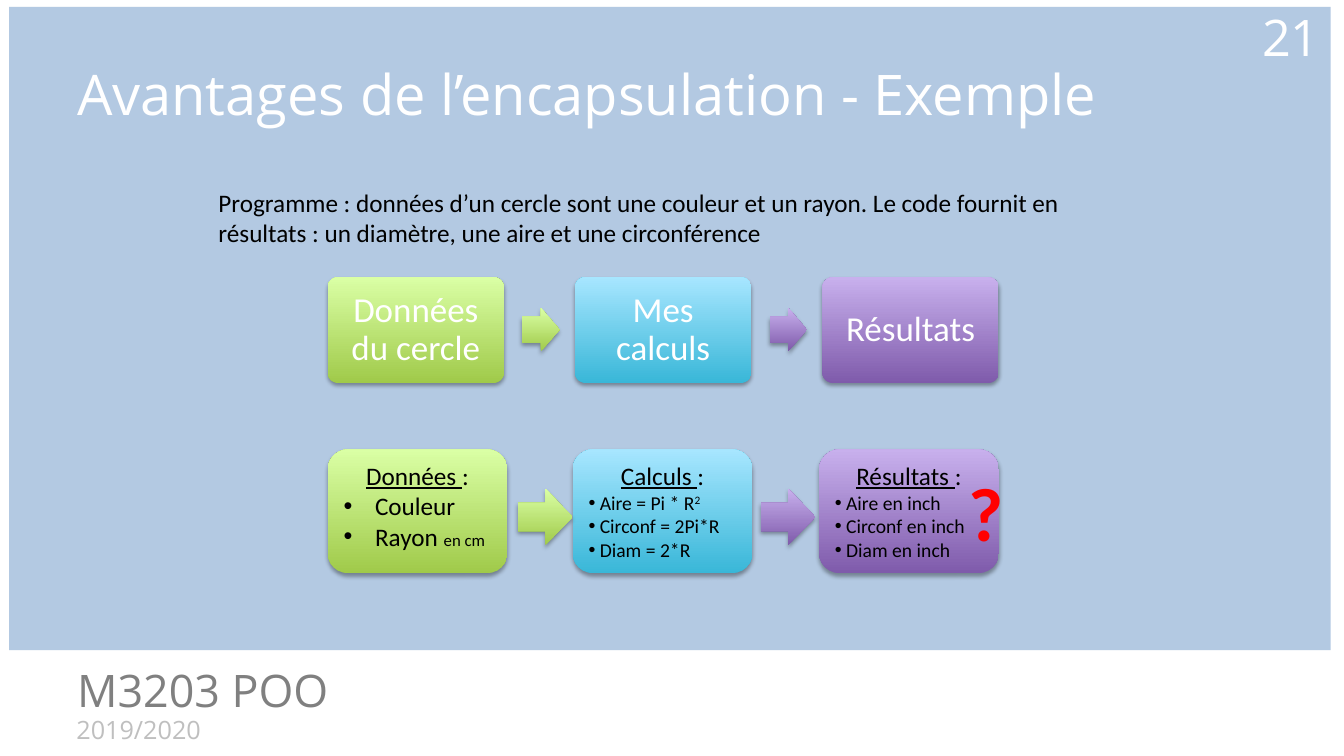
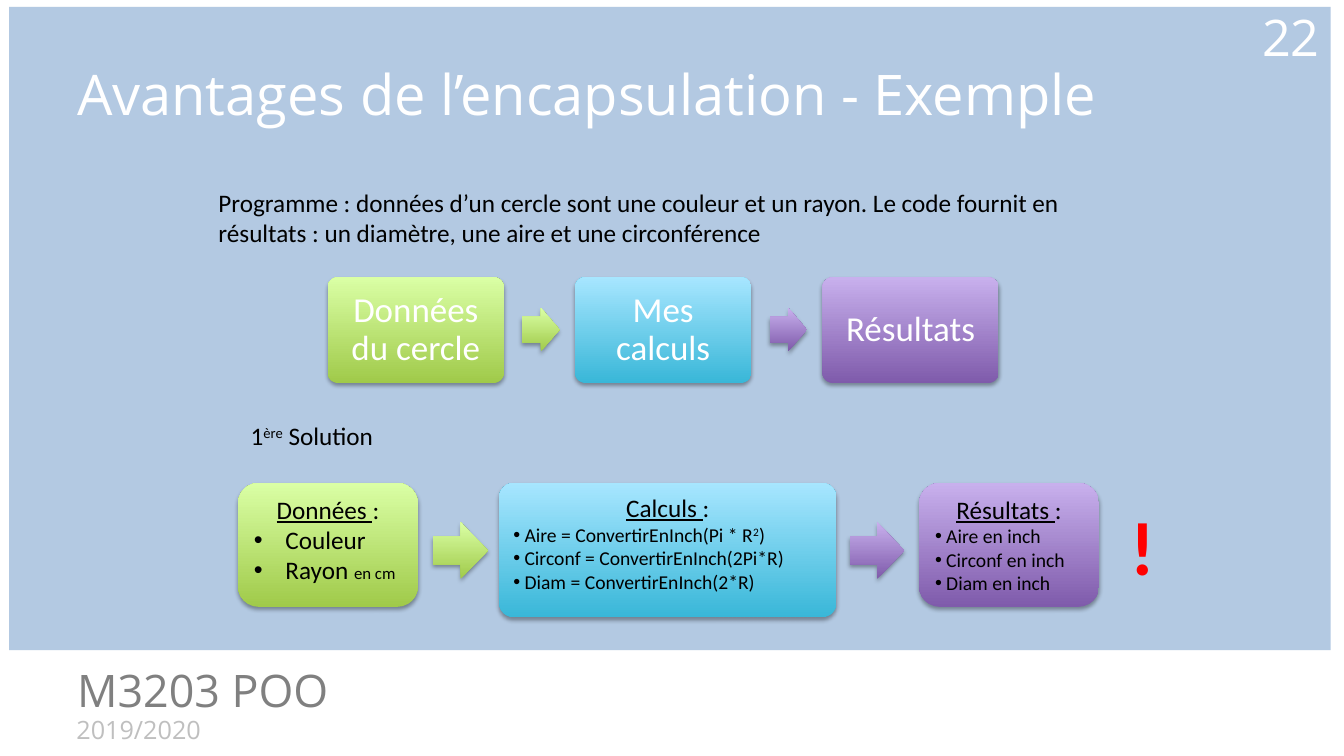
from dataclasses import dataclass
from typing import NamedTuple

from lxml.etree import SubElement
from pptx import Presentation
from pptx.dml.color import RGBColor as RGB
from pptx.enum.shapes import MSO_SHAPE as Form
from pptx.enum.text import MSO_ANCHOR as Anchor, PP_ALIGN as Align
from pptx.oxml.ns import qn
from pptx.util import Pt


# Theme
class Hue(NamedTuple):
    dark: str
    light: str


@dataclass(frozen=True)
class Theme:
    head: str = "Open Sans"
    body: str = "Calibri"
    band: str = "95B3D7"
    white: str = "FFFFFF"
    black: str = "000000"
    gray: str = "808080"
    pale: str = "BFBFBF"
    red: str = "FF0000"
    edge: str = "054697"
    green: Hue = Hue("A0CA4A", "DAFFA5")
    blue: Hue = Hue("39B7D8", "A7E6FF")
    plum: Hue = Hue("7F5BAB", "C8B0ED")
    title: float = 40
    page: float = 36
    course: float = 32
    year: float = 18
    step: float = 25
    text: float = 18
    item: float = 14
    note: float = 12
    mark: float = 54


T = Theme()


# Parts of a slide
class Box(NamedTuple):
    left: float
    top: float
    width: float
    height: float


class Run(NamedTuple):
    text: str
    size: float | None = None
    under: bool = False
    sup: bool = False


@dataclass(frozen=True)
class Line:
    runs: tuple[Run, ...]
    size: float = T.text
    color: str = T.black
    font: str = T.body
    align: Align = Align.LEFT
    indent: float = 0
    space: float | None = None
    bold: bool = False


@dataclass(frozen=True)
class Card:
    left: float
    width: float
    height: float
    hue: Hue
    lines: list[Line]
    curve: float = 0.1667


@dataclass(frozen=True)
class Page:
    number: str
    top: float
    cards: list[Card]
    heads: tuple[float, float]
    mark: str
    spot: float
    label: Line | None = None


def plain(text: str, size: float, color: str, font: str = T.body, **more) -> Line:
    return Line((Run(text),), size, color, font, **more)


def header(text: str) -> Line:
    return Line((Run(text + " ", under=True), Run(":")), align=Align.CENTER)


def item(*runs: Run) -> Line:
    return Line(runs, T.item, indent=8)


def bullet(*runs: Run) -> Line:
    return Line(runs, indent=22.5)


# Drawing
def write(shape, lines: list[Line], anchor: Anchor = Anchor.TOP, wrap: bool = True) -> None:
    frame = shape.text_frame
    frame.word_wrap = wrap
    frame.vertical_anchor = anchor
    for i, line in enumerate(lines):
        para = frame.add_paragraph() if i else frame.paragraphs[0]
        if line.indent:
            props = para._p.get_or_add_pPr()
            props.set("marL", str(Pt(line.indent)))
            props.set("indent", str(-Pt(line.indent)))
            SubElement(props, qn("a:buFont"), typeface="Arial")
            SubElement(props, qn("a:buChar"), char="•")
        para.alignment = line.align
        if line.space:
            para.line_spacing = line.space
        font = para.font
        font.name, font.size, font.bold = line.font, Pt(line.size), line.bold
        font.color.rgb = RGB.from_string(line.color)
        for part in line.runs:
            run = para.add_run()
            run.text = part.text
            if part.size:
                run.font.size = Pt(part.size)
            if part.under:
                run.font.underline = True
            if part.sup:
                run._r.get_or_add_rPr().set("baseline", "30000")


def label(slide, box: Box, line: Line, anchor: Anchor = Anchor.TOP, wrap: bool = True):
    shape = slide.shapes.add_textbox(*map(Pt, box))
    write(shape, [line], anchor, wrap)
    return shape


def block(slide, form: Form, box: Box, hue: Hue, *bends: float):
    """Shape with a vertical gradient and a soft shadow below."""
    shape = slide.shapes.add_shape(form, *map(Pt, box))
    for i, bend in enumerate(bends):
        shape.adjustments[i] = bend
    shape.fill.gradient()
    shape.fill.gradient_angle = 90
    for stop, color in zip(shape.fill.gradient_stops, hue):
        stop.color.rgb = RGB.from_string(color)
    shape.line.fill.background()
    shape.shadow.inherit = False
    effects = shape._element.spPr.find(qn("a:effectLst"))
    shade = SubElement(effects, qn("a:outerShdw"), blurRad=str(Pt(3.1)),
                       dist=str(Pt(1.8)), dir="5400000", rotWithShape="0")
    color = SubElement(shade, qn("a:srgbClr"), val=T.black)
    SubElement(color, qn("a:alpha"), val="35000")
    return shape


def frame(slide, number: str) -> None:
    # Band
    band = slide.shapes.add_shape(Form.RECTANGLE, *map(Pt, Box(6.5, 5, 944, 459.5)))
    band.fill.solid()
    band.fill.fore_color.rgb = RGB.from_string(T.band)
    tint = band._element.spPr.find(qn("a:solidFill"))[0]
    SubElement(tint, qn("a:alpha"), val="71000")
    band.line.fill.background()
    band.shadow.inherit = False
    # Footer, title and page number
    label(slide, Box(47.5, 507, 384, 29), plain("2019/2020", T.year, T.pale, T.head))
    label(slide, Box(48, 469.5, 492, 46), plain("M3203 POO", T.course, T.gray, T.head))
    label(slide, Box(48, 21.5, 864, 90),
          plain("Avantages de l’encapsulation - Exemple", T.title, T.white, T.head),
          Anchor.MIDDLE)
    label(slide, Box(828, 5, 121.7, 42),
          plain(number, T.page, T.white, T.head, align=Align.RIGHT), Anchor.MIDDLE)


def flow(slide) -> None:
    """Three steps at an equal pitch, with an arrow before each next step."""
    steps = [("Données du cercle", T.green), ("Mes calculs", T.blue), ("Résultats", T.plum)]
    heads = [T.green, T.plum]
    left, pitch = 234, 176.7
    for i, (text, hue) in enumerate(steps):
        x = left + i * pitch
        step = block(slide, Form.ROUNDED_RECTANGLE, Box(x, 198, 126, 75.6), hue, 0.1)
        write(step, [plain(text, T.step, T.white, align=Align.CENTER, space=0.9)],
              Anchor.MIDDLE)
        if i < len(heads):
            block(slide, Form.RIGHT_ARROW, Box(x + 139, 220, 26.7, 31), heads[i], 0.6, 0.5)


def sample(slide, page: Page) -> None:
    # Cards
    for card in page.cards:
        shape = block(slide, Form.ROUNDED_RECTANGLE,
                      Box(card.left, page.top, card.width, card.height),
                      card.hue, card.curve)
        write(shape, card.lines)
    # Arrows
    for x, hue in zip(page.heads, (T.green, T.plum)):
        block(slide, Form.RIGHT_ARROW, Box(x, page.top + 28, 39, 40.5), hue)
    # Red mark with a thin edge
    mark = label(slide, Box(page.spot, page.top + 8.5, 36, 72.7),
                 plain(page.mark, T.mark, T.red, align=Align.CENTER, bold=True), wrap=False)
    props = mark.text_frame.paragraphs[0].runs[0]._r.get_or_add_rPr()
    edge = SubElement(props, qn("a:ln"), w=str(Pt(1)))
    SubElement(SubElement(edge, qn("a:solidFill")), qn("a:srgbClr"), val=T.edge)
    if page.label:
        label(slide, Box(172, 296.7, 105, 29), page.label, wrap=False)


# Content
INTRO = ("Programme : données d’un cercle sont une couleur et un rayon. "
         "Le code fournit en résultats : un diamètre, une aire et une circonférence")
DATA = [header("Données"), bullet(Run("Couleur")),
        bullet(Run("Rayon "), Run("en cm", T.note))]
OUT = [header("Résultats")] + [item(Run(name + " en inch"))
                               for name in ("Aire", "Circonf", "Diam")]
RAW = [header("Calculs"),
       item(Run("Aire = Pi * R"), Run("2", sup=True)),
       item(Run("Circonf = 2Pi*R")),
       item(Run("Diam = 2*R"))]
INCH = [header("Calculs"),
        item(Run("Aire = ConvertirEnInch(Pi * R"), Run("2", sup=True), Run(")")),
        item(Run("Circonf = ConvertirEnInch(2Pi*R)")),
        item(Run("Diam = ConvertirEnInch(2*R)"))]
WIDE, HIGH = 128.5, 88.5

PAGES = [
    Page("21", 321,
         [Card(234, WIDE, HIGH, T.green, DATA),
          Card(409, WIDE, HIGH, T.blue, RAW),
          Card(585, WIDE, HIGH, T.plum, OUT)],
         (370, 543.5), "?", 685),
    Page("22", 345,
         [Card(170, WIDE, HIGH, T.green, DATA),
          Card(356.5, 241, 96, T.blue, INCH, 0.11),
          Card(656.5, WIDE, HIGH, T.plum, OUT)],
         (309.5, 607), "!", 798,
         Line((Run("1"), Run("ère", sup=True), Run(" Solution")))),
]


def main() -> None:
    deck = Presentation()
    deck.slide_width, deck.slide_height = Pt(960), Pt(540)
    for page in PAGES:
        slide = deck.slides.add_slide(deck.slide_layouts[6])
        frame(slide, page.number)
        label(slide, Box(149, 130.3, 623, 51), plain(INTRO, T.text, T.black))
        flow(slide)
        sample(slide, page)
    deck.save("out.pptx")


if __name__ == "__main__":
    main()
